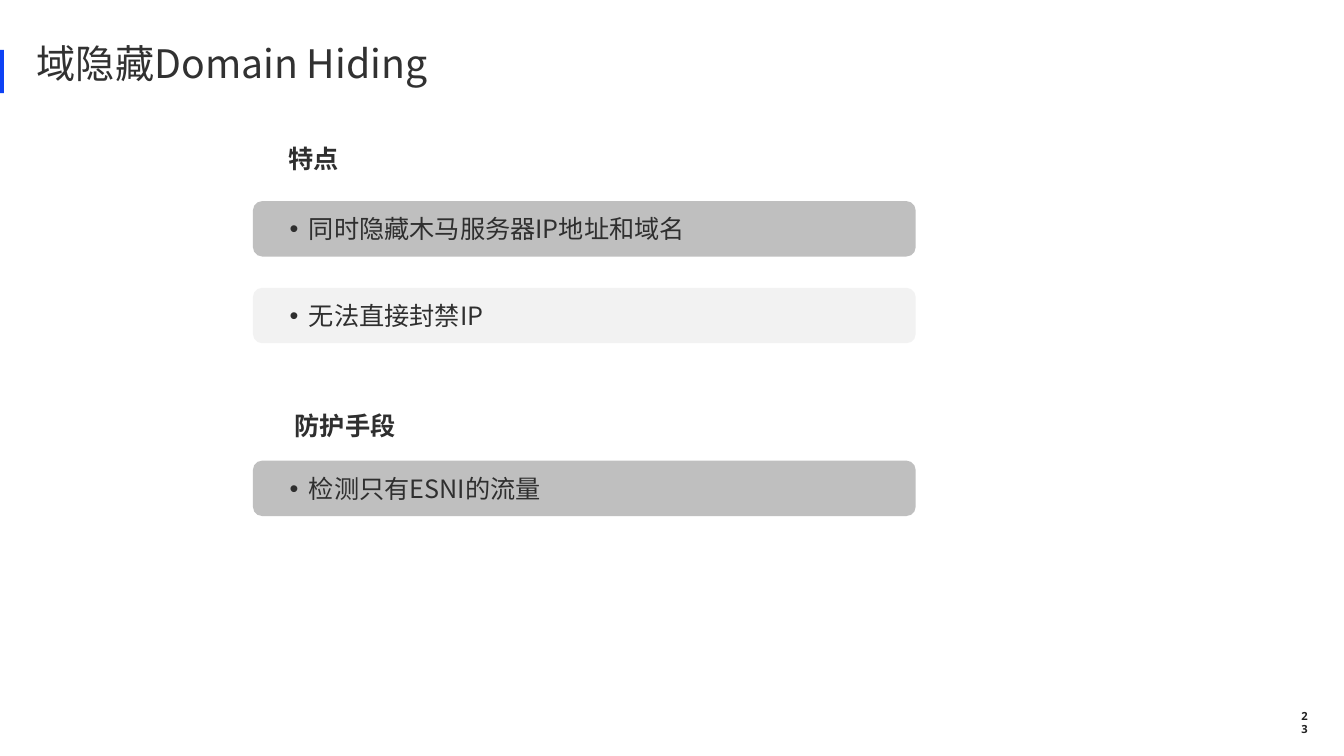
from lxml import etree
from pptx import Presentation
from pptx import util as u
from pptx.dml.color import RGBColor
from pptx.enum import shapes, text
from pptx.oxml.ns import qn

SLIDE_W, SLIDE_H = u.Inches(26.67), u.Inches(15)
COLORS = {
    "accent": "0E42F5",
    "dark_bar": "BFBFBF",
    "light_bar": "F2F2F2",
    "title": "313131",
    "body": "2F2F2F",
    "number": "222222",
}
CJK, LATIN = "Noto Sans CJK SC", "Open Sans"

# Percentages of the slide's width (left, width) or height (top, height)
BAR_LEFT, BAR_W, BAR_H = 18.82, 49.31, 7.33
TEXT_LEFT, TEXT_W, TEXT_H = 21.33, 36.15, 4.8
HEADINGS = [("特点", 21.26, 18.53), ("防护手段", 21.71, 53.93)]
ITEMS = [
    ("同时隐藏木马服务器IP地址和域名", 26.6, "dark_bar", TEXT_W),
    ("无法直接封禁IP", 38.07, "light_bar", TEXT_W),
    ("检测只有ESNI的流量", 60.93, "dark_bar", 45.56),
]


def area(left, top, width, height):
    """Turn percentages of the slide into a position and size."""
    return (int(SLIDE_W * left / 100), int(SLIDE_H * top / 100),
            int(SLIDE_W * width / 100), int(SLIDE_H * height / 100))


def add_block(slide, kind, box, color):
    sp = slide.shapes.add_shape(kind, *area(*box))
    sp.shadow.inherit = False
    sp.fill.solid()
    sp.fill.fore_color.rgb = RGBColor.from_string(COLORS[color])
    sp.line.fill.background()


def write(sp, content, size, color, bold=False, font=CJK, wrap=True,
          anchor=text.MSO_ANCHOR.MIDDLE, align=text.PP_ALIGN.LEFT, inset=0.06):
    """Fill a text frame with one formatted run and return its paragraph."""
    tf = sp.text_frame
    tf.word_wrap = wrap
    tf.auto_size = text.MSO_AUTO_SIZE.SHAPE_TO_FIT_TEXT
    tf.vertical_anchor = anchor
    tf.margin_left = tf.margin_right = u.Inches(inset)
    tf.margin_top = tf.margin_bottom = u.Inches(inset)
    p = tf.paragraphs[0]
    p.alignment = align
    r = p.add_run()
    r.text = content
    r.font.size = u.Pt(size)
    r.font.bold = bold
    r.font.name = font
    r.font.color.rgb = RGBColor.from_string(COLORS[color])
    etree.SubElement(r._r.get_or_add_rPr(), qn("a:ea"), typeface=font)
    return p


def add_text(slide, box, content, size, color, **style):
    sp = slide.shapes.add_textbox(*area(*box))
    return write(sp, content, size, color, **style)


def add_bullet(p):
    pPr = p._p.get_or_add_pPr()
    indent = u.Inches(0.38)
    pPr.set("marL", str(indent))
    pPr.set("indent", str(-indent))
    etree.SubElement(pPr, qn("a:buFont"), typeface="Arial")
    etree.SubElement(pPr, qn("a:buChar"), char="•")


def add_title(slide, content):
    title = slide.shapes.title
    title.left, title.top, title.width, title.height = area(2.51, 5.47, 30.67, 6.4)
    p = write(title, content, 56, "title", wrap=False, anchor=text.MSO_ANCHOR.TOP)
    p.line_spacing = 0.9
    add_block(slide, shapes.MSO_SHAPE.RECTANGLE, (-0.04, 6.6, 0.34, 5.73), "accent")


def add_item(slide, content, top, color, width):
    """Draw a rounded bar with a bulleted line centred in its height."""
    add_block(slide, shapes.MSO_SHAPE.ROUNDED_RECTANGLE,
              (BAR_LEFT, top, BAR_W, BAR_H), color)
    text_top = top + (BAR_H - TEXT_H) / 2
    add_bullet(add_text(slide, (TEXT_LEFT, text_top, width, TEXT_H),
                        content, 36, "body"))


def main():
    prs = Presentation()
    prs.slide_width, prs.slide_height = SLIDE_W, SLIDE_H
    slide = prs.slides.add_slide(prs.slide_layouts[5])
    add_title(slide, "域隐藏Domain Hiding")
    for content, left, top in HEADINGS:
        add_text(slide, (left, top, TEXT_W, TEXT_H), content, 36, "body", bold=True)
    for item in ITEMS:
        add_item(slide, *item)
    add_text(slide, (96.44, 94.07, 1.27, 3.07), "23", 16, "number", bold=True,
             font=LATIN, wrap=False, align=text.PP_ALIGN.CENTER, inset=0.1)
    prs.save("out.pptx")


if __name__ == "__main__":
    main()
